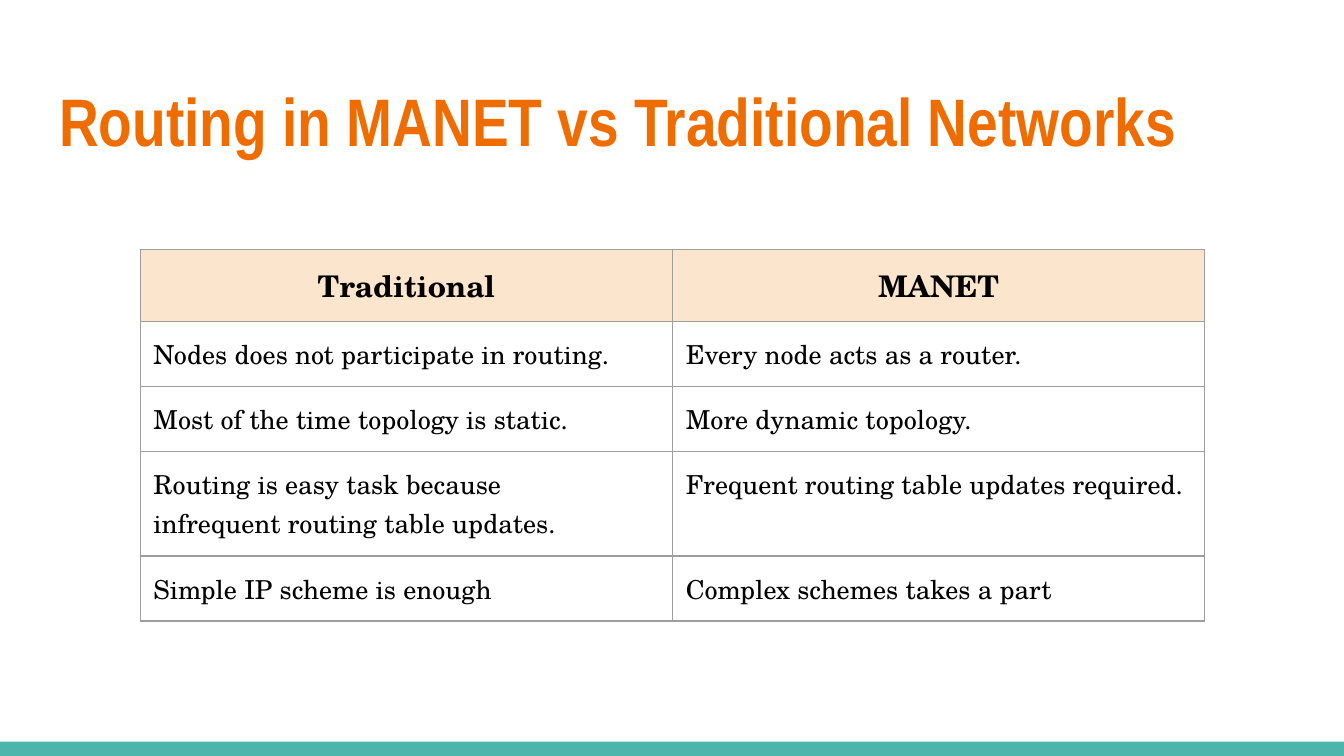
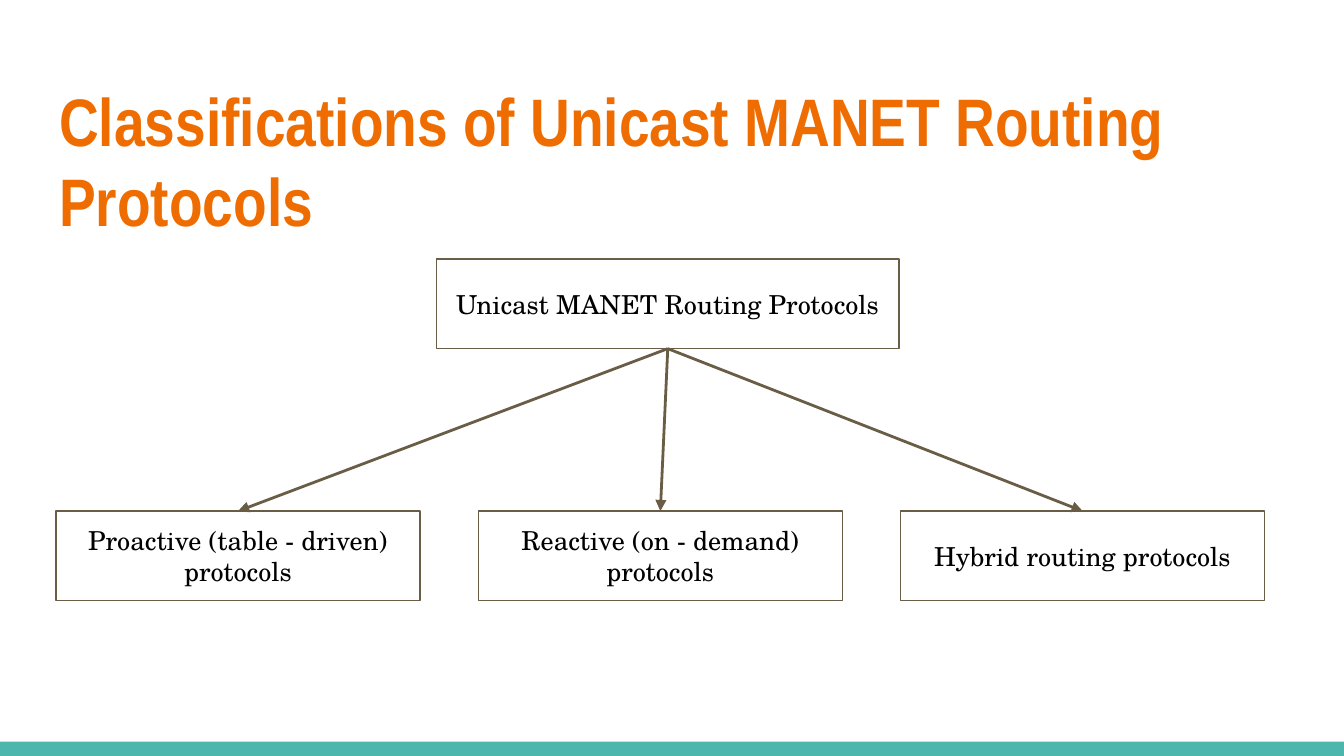
from pptx import Presentation
from pptx.dml.color import RGBColor
from pptx.enum.shapes import MSO_CONNECTOR, MSO_SHAPE
from pptx.enum.text import MSO_ANCHOR, MSO_AUTO_SIZE, PP_ALIGN
from pptx.oxml import parse_xml
from pptx.oxml.ns import nsdecls
from pptx.util import Cm, Pt

HEX = {
    "title": "EF6C00",
    "band": "4DB6AC",
    "head": "FCE5CD",
    "grid": "9E9E9E",
    "line": "695D46",
    "text": "000000",
    "white": "FFFFFF",
}
RGB = {name: RGBColor.from_string(code) for name, code in HEX.items()}
SERIF = "TeX Gyre Schola"
WIDE, HIGH = 25.4, 14.29
PAD = Cm(0.25)


def style(para, size, color, face, bold, align):
    para.font.size = Pt(size)
    para.font.name = face
    para.font.bold = bold
    para.font.color.rgb = RGB[color]
    para.alignment = align


def inset(frame):
    frame.margin_left = frame.margin_right = PAD
    frame.margin_top = frame.margin_bottom = PAD
    frame.word_wrap = True


deck = Presentation()
deck.slide_width, deck.slide_height = Cm(WIDE), Cm(HIGH)

pages = []
for head in ("Routing in MANET vs Traditional Networks",
             "Classifications of Unicast MANET Routing Protocols"):
    page = deck.slides.add_slide(deck.slide_layouts[5])
    band = page.shapes.add_shape(
        MSO_SHAPE.RECTANGLE, 0, Cm(HIGH - 0.27), Cm(WIDE), Cm(0.27))
    band.shadow.inherit = False
    band.fill.solid()
    band.fill.fore_color.rgb = RGB["band"]
    band.line.fill.background()

    title = page.shapes.title
    title.left, title.top = Cm(0.87), Cm(1.24)
    title.width, title.height = Cm(23.67), Cm(1.95)
    frame = title.text_frame
    frame.text = head
    inset(frame)
    frame.auto_size = MSO_AUTO_SIZE.NONE
    frame.vertical_anchor = MSO_ANCHOR.TOP
    style(frame.paragraphs[0], 36, "title", "Arial Narrow", True, PP_ALIGN.LEFT)
    pages.append(page)

versus, classes = pages

rows = [
    ("Traditional", "MANET"),
    ("Nodes does not participate in routing.", "Every node acts as a router."),
    ("Most of the time topology is static.", "More dynamic topology."),
    ("Routing is easy task because\ninfrequent routing table updates.",
     "Frequent routing table updates required."),
    ("Simple IP scheme is enough", "Complex schemes takes a part"),
]
tall = [1.37, 1.23, 1.23, 1.97, 1.23]
table = versus.shapes.add_table(
    len(rows), 2, Cm(2.65), Cm(4.71), Cm(20.12), Cm(sum(tall))).table
table.first_row = table.horz_banding = False
for col in table.columns:
    col.width = Cm(10.06)

for r, row in enumerate(rows):
    table.rows[r].height = Cm(tall[r])
    for c, words in enumerate(row):
        cell = table.cell(r, c)
        cell.text = words
        cell.margin_left = cell.margin_right = PAD
        cell.margin_top = cell.margin_bottom = PAD
        cell.vertical_anchor = MSO_ANCHOR.TOP
        props = cell._tc.get_or_add_tcPr()
        for side in "LRTB":
            props.append(parse_xml(
                f'<a:ln{side} {nsdecls("a")} w="9525"><a:solidFill>'
                f'<a:srgbClr val="{HEX["grid"]}"/></a:solidFill></a:ln{side}>'))
        if r == 0:
            cell.fill.solid()
            cell.fill.fore_color.rgb = RGB["head"]
        else:
            cell.fill.background()
        for para in cell.text_frame.paragraphs:
            if r == 0:
                style(para, 16, "text", SERIF, True, PP_ALIGN.CENTER)
            else:
                style(para, 14, "text", SERIF, False, PP_ALIGN.JUSTIFY)

nodes = [("Unicast MANET Routing Protocols", 8.25, 4.9, 8.74)]
kinds = ["Proactive (table - driven) protocols",
         "Reactive (on - demand) protocols",
         "Hybrid routing protocols"]
nodes += [(kind, 1.06 + i * 7.98, 9.66, 6.88) for i, kind in enumerate(kinds)]

boxes = []
for words, left, top, width in nodes:
    box = classes.shapes.add_shape(
        MSO_SHAPE.RECTANGLE, Cm(left), Cm(top), Cm(width), Cm(1.69))
    box.shadow.inherit = False
    box.fill.solid()
    box.fill.fore_color.rgb = RGB["white"]
    box.line.color.rgb = RGB["line"]
    box.line.width = Pt(0.75)
    frame = box.text_frame
    frame.text = words
    inset(frame)
    frame.vertical_anchor = MSO_ANCHOR.MIDDLE
    style(frame.paragraphs[0], 14, "text", SERIF, False, PP_ALIGN.CENTER)
    boxes.append(box)

root, *leaves = boxes
for leaf in leaves:
    link = classes.shapes.add_connector(MSO_CONNECTOR.STRAIGHT, 0, 0, 0, 0)
    link.begin_connect(root, 2)
    link.end_connect(leaf, 0)
    link.line.color.rgb = RGB["line"]
    link.line.width = Pt(1.5)
    link.line._get_or_add_ln().append(
        parse_xml(f'<a:tailEnd {nsdecls("a")} type="triangle"/>'))
    link._element.spPr.append(parse_xml(f'<a:effectLst {nsdecls("a")}/>'))

deck.save("out.pptx")
